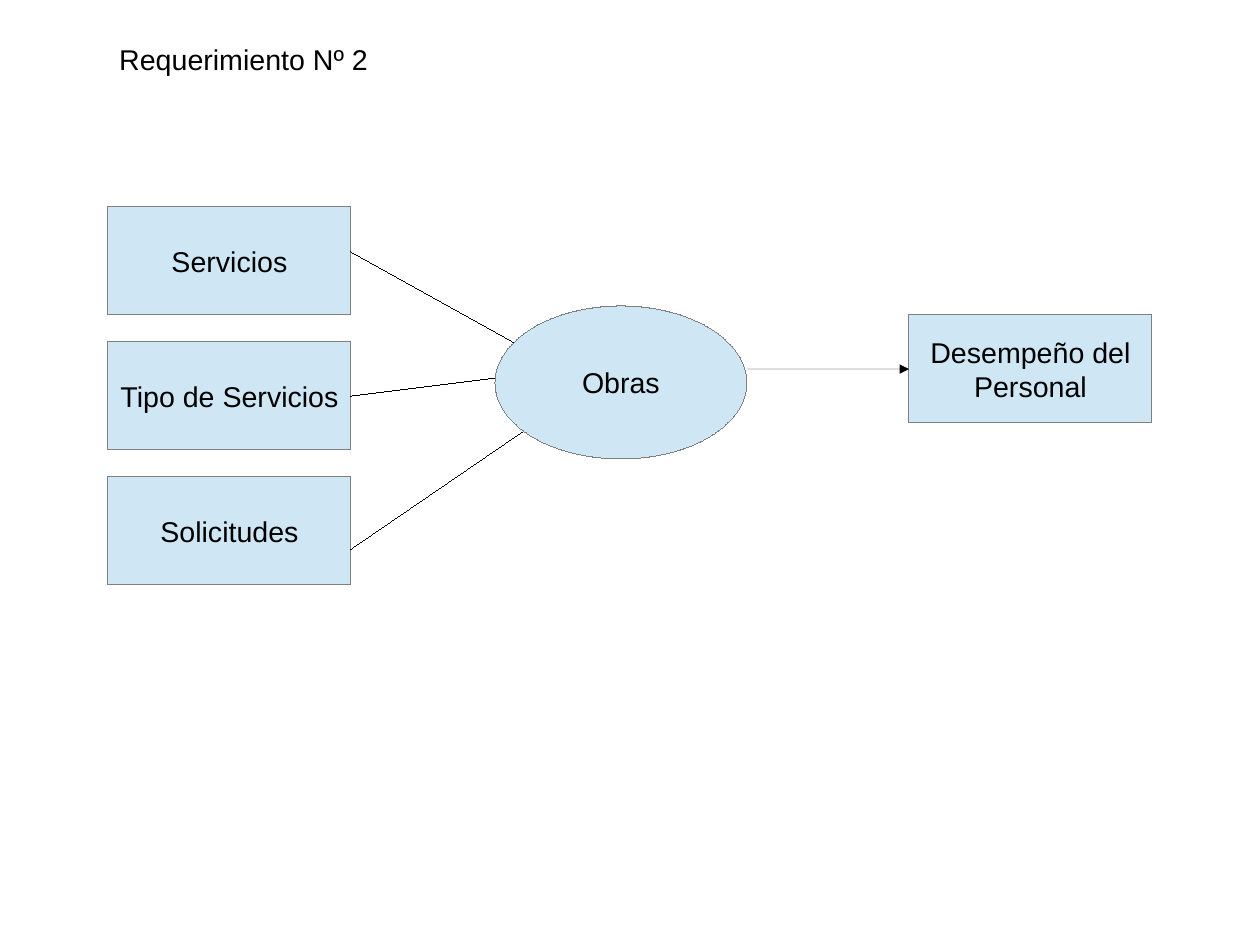
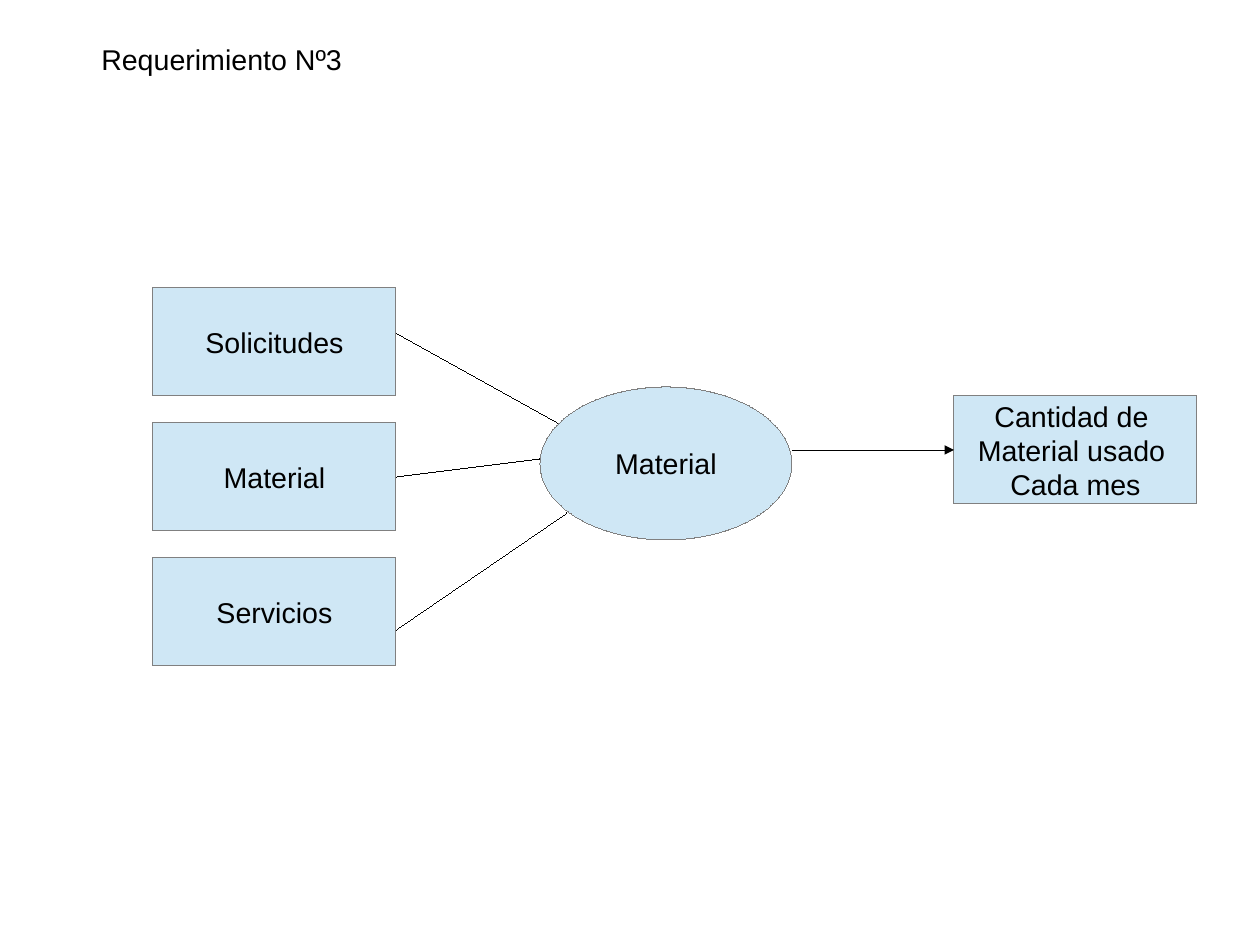
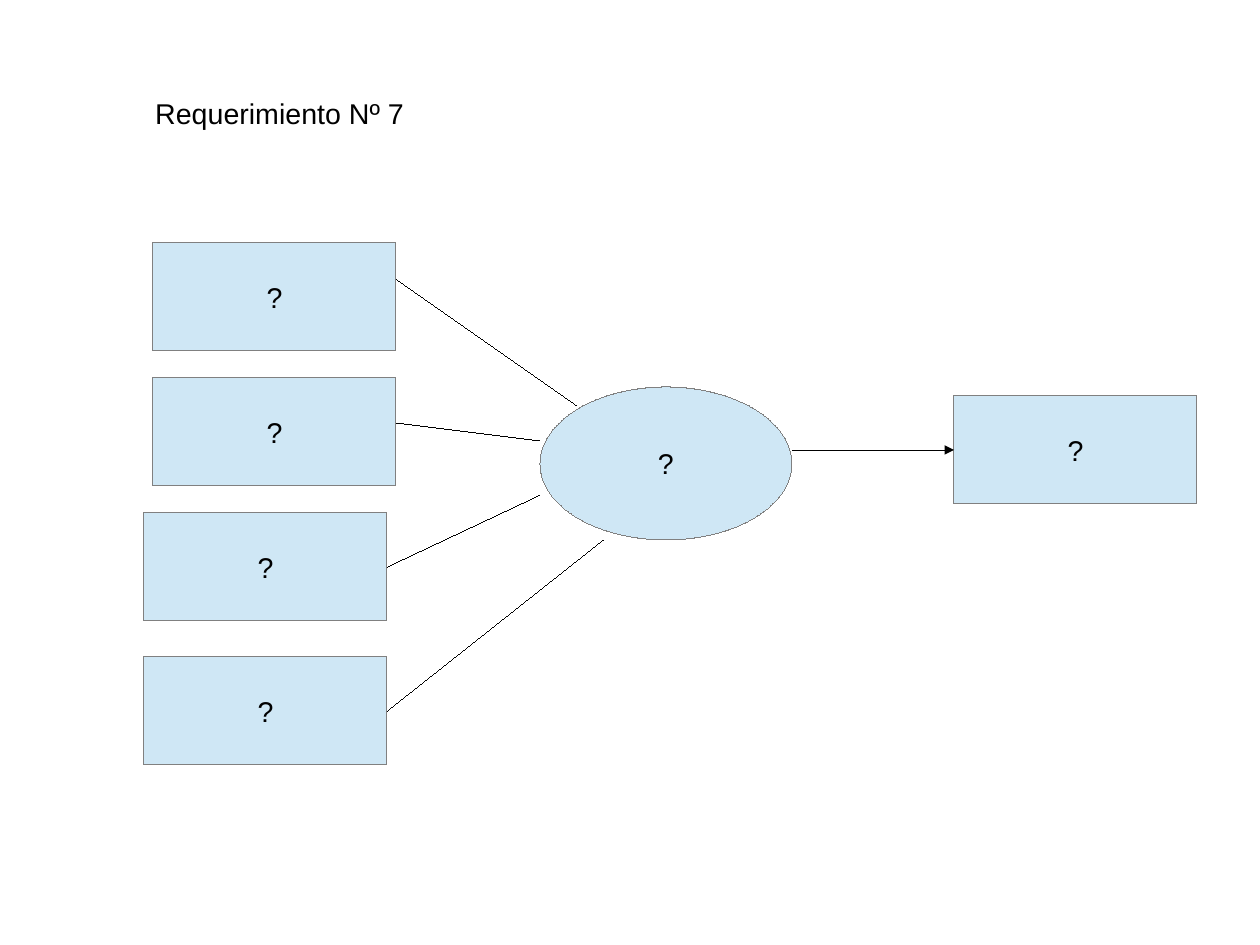
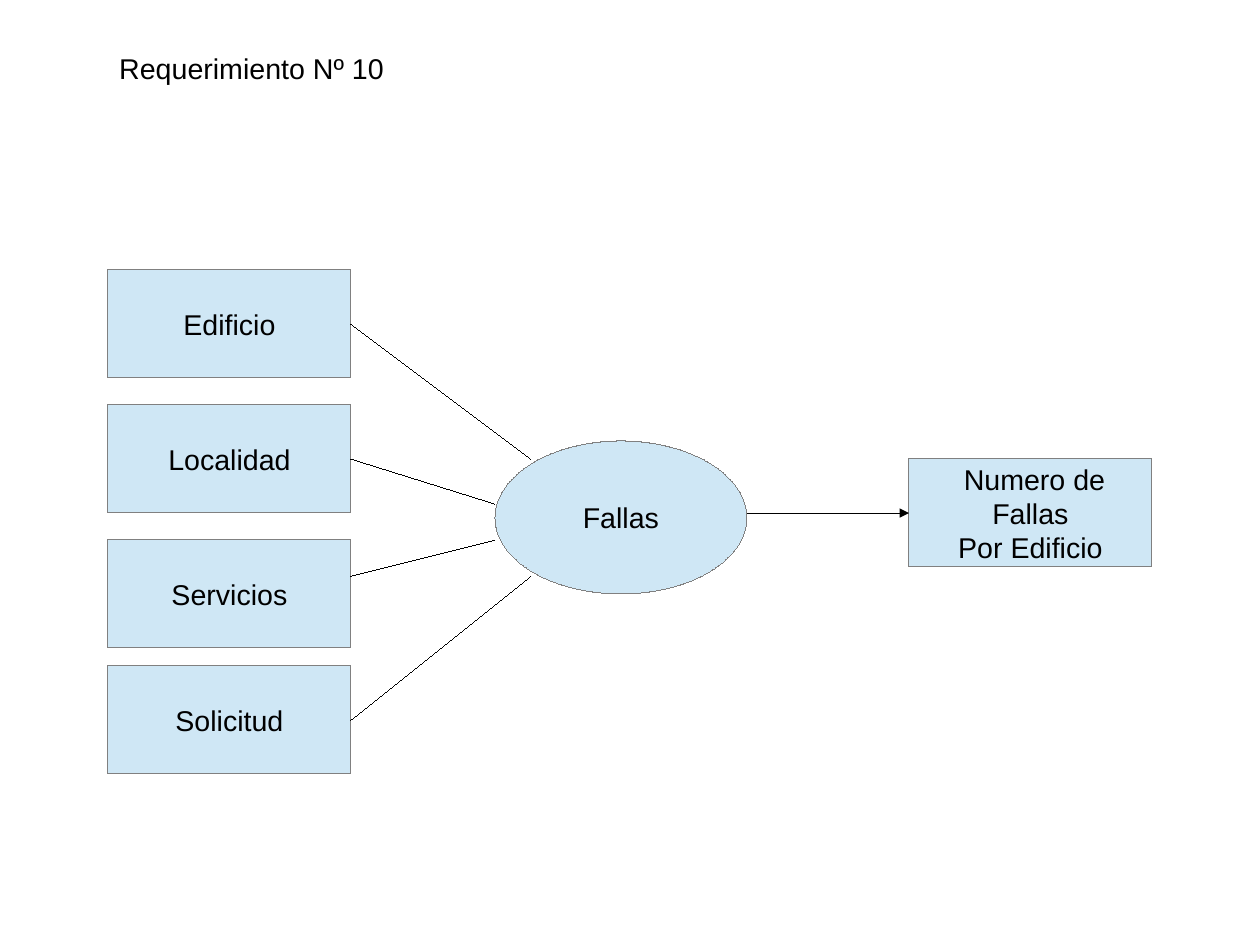
from dataclasses import dataclass

from lxml import etree
from pptx import Presentation
from pptx.dml.color import RGBColor
from pptx.enum.shapes import MSO_CONNECTOR, MSO_SHAPE
from pptx.enum.text import MSO_ANCHOR, MSO_AUTO_SIZE, PP_ALIGN
from pptx.oxml.ns import qn
from pptx.util import Cm, Pt

RECTANGLE, OVAL = MSO_SHAPE.RECTANGLE, MSO_SHAPE.OVAL
STRAIGHT = MSO_CONNECTOR.STRAIGHT
TOP, MIDDLE = MSO_ANCHOR.TOP, MSO_ANCHOR.MIDDLE
LEFT, CENTER = PP_ALIGN.LEFT, PP_ALIGN.CENTER
NO_AUTOFIT = MSO_AUTO_SIZE.NONE
LEFT_SIDE, RIGHT_SIDE = 1, 3
TITLE_ONLY = 5

COLORS = {"fill": "CFE7F5", "border": "808080", "ink": "000000"}
FONT, TEXT_SIZE = "Arial", Pt(18)

# The slide is a grid of 28 columns by 21 rows, each cell one centimetre
COLUMNS, ROWS = 28, 21
BOX = (5.4, 2.4)
HUB = (5.6, 3.4)
TITLE = (7, 0.96)
ROW_PITCH = 3
HUB_OFFSET, RESULT_OFFSET = 8.6, 17.8  # columns right of the inputs
MID = BOX[1] / 2


@dataclass
class Source:
    """An input box, with its link to the hub."""
    label: str
    start: float    # where the link leaves, in rows below the box top
    end: tuple      # where it arrives, from the hub's top left
    shift: tuple = (0, 0)  # distance from the regular grid place


@dataclass
class Diagram:
    title: str
    title_at: tuple
    sources_at: tuple
    sources: list
    hub: str
    hub_top: float
    result: list
    result_drop: float = 0.2  # rows from hub top to result top


DIAGRAMS = [
    Diagram("Requerimiento Nº 2", (2.4, 0.8), (2.4, 4.6),
            [Source("Servicios", 1, (0.4, 0.8)),
             Source("Tipo de Servicios", MID, (0, 1.6)),
             Source("Solicitudes", 1.6, (0.6, 2.8))],
            "Obras", 6.8, ["Desempeño del", "Personal"]),
    Diagram("Requerimiento Nº3", (2, 0.8), (3.4, 6.4),
            [Source("Solicitudes", 1, (0.4, 0.8)),
             Source("Material", MID, (0, 1.6)),
             Source("Servicios", 1.6, (0.6, 2.8))],
            "Material", 8.6, ["Cantidad de ", "Material usado ", "Cada mes"]),
    Diagram("Requerimiento Nº 7", (3.2, 2), (3.4, 5.4),
            [Source("?", 0.8, (0.8, 0.4)),
             Source("?", 1, (0, 1.2)),
             Source("?", MID, (0, 2.4), (-0.2, 0)),
             Source("?", MID, (1.4, 3.4), (-0.2, 0.2))],
            "?", 8.6, ["?"]),
    Diagram("Requerimiento Nº 10", (2.4, 1), (2.4, 6),
            [Source("Edificio", MID, (0.8, 0.4)),
             Source("Localidad", MID, (0, 1.4)),
             Source("Servicios", 0.8, (0, 2.2)),
             Source("Solicitud", MID, (0.8, 3), (0, -0.2))],
            "Fallas", 9.8, [" Numero de Fallas", "Por Edificio"], 0.4),
]


def color(name):
    return RGBColor.from_string(COLORS[name])


def write(shape, lines, align, anchor):
    frame = shape.text_frame
    frame.word_wrap = True
    frame.auto_size = NO_AUTOFIT
    frame.vertical_anchor = anchor
    frame.margin_left = frame.margin_right = Cm(0.25)
    frame.margin_top = frame.margin_bottom = Cm(0.13)
    for index, line in enumerate(lines):
        para = frame.add_paragraph() if index else frame.paragraphs[0]
        para.alignment = align
        span = para.add_run()
        span.text = line
        span.font.name, span.font.size = FONT, TEXT_SIZE
        span.font.color.rgb = color("ink")


def hairline(shape, name):
    """Colour the line and give it zero width; return its XML element."""
    shape.line.color.rgb = color(name)
    outline = shape.element.spPr.find(qn("a:ln"))
    outline.set("w", "0")
    return outline


def add_title(page, text, at):
    title = page.shapes.title
    title.left, title.top, title.width, title.height = map(Cm, at + TITLE)
    write(title, [text], LEFT, TOP)


def add_node(page, kind, at, size, lines):
    node = page.shapes.add_shape(kind, *map(Cm, at + size))
    node.shadow.inherit = False
    node.fill.solid()
    node.fill.fore_color.rgb = color("fill")
    hairline(node, "border")
    write(node, lines, CENTER, MIDDLE)
    return node


def add_link(page, start, end, arrow=False):
    link = page.shapes.add_connector(STRAIGHT, *map(Cm, start + end))
    outline = hairline(link, "ink")
    if arrow:
        etree.SubElement(outline, qn("a:tailEnd"), type="triangle")
    etree.SubElement(link.element.spPr, qn("a:effectLst"))
    return link


def add_diagram(page, diagram):
    add_title(page, diagram.title, diagram.title_at)
    left, top = diagram.sources_at
    hub_left, hub_top = left + HUB_OFFSET, diagram.hub_top
    result_at = (left + RESULT_OFFSET, hub_top + diagram.result_drop)

    # Hub and result, joined by an arrow
    add_node(page, OVAL, (hub_left, hub_top), HUB, [diagram.hub])
    result = add_node(page, RECTANGLE, result_at, BOX, diagram.result)
    arrow_row = result_at[1] + MID
    arrow = add_link(page, (hub_left + HUB[0], arrow_row),
                     (result_at[0], arrow_row), arrow=True)
    arrow.end_connect(result, LEFT_SIDE)

    # Input boxes, each linked to the hub
    for row, source in enumerate(diagram.sources):
        box_left = left + source.shift[0]
        box_top = top + row * ROW_PITCH + source.shift[1]
        box = add_node(page, RECTANGLE, (box_left, box_top), BOX,
                       [source.label])
        # A link from a left-shifted box may start on the regular edge
        link = add_link(page, (box_left + BOX[0], box_top + source.start),
                        (hub_left + source.end[0], hub_top + source.end[1]))
        if source.start == MID:
            link.begin_connect(box, RIGHT_SIDE)


def main():
    deck = Presentation()
    deck.slide_width, deck.slide_height = Cm(COLUMNS), Cm(ROWS)
    for diagram in DIAGRAMS:
        page = deck.slides.add_slide(deck.slide_layouts[TITLE_ONLY])
        add_diagram(page, diagram)
    deck.save("out.pptx")


if __name__ == "__main__":
    main()
